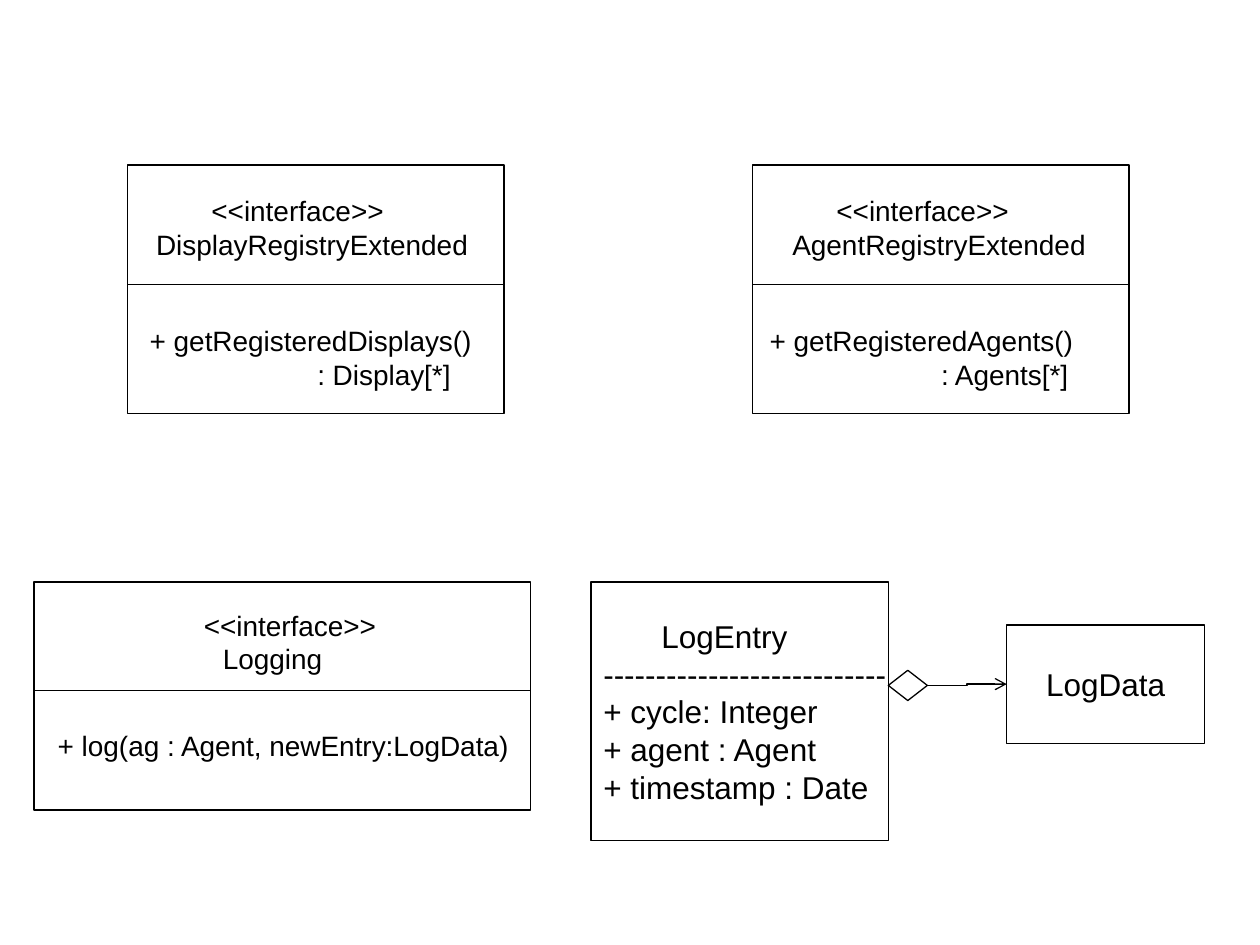
import pptx
import pptx.util
import pptx.dml.color
import pptx.enum.shapes
import pptx.enum.text
import pptx.oxml.ns
from lxml import etree

Inches, Pt = pptx.util.Inches, pptx.util.Pt
SHAPE = pptx.enum.shapes.MSO_SHAPE
CONNECTOR = pptx.enum.shapes.MSO_CONNECTOR
ANCHOR = pptx.enum.text.MSO_ANCHOR
ALIGN = pptx.enum.text.PP_ALIGN
INK, PAPER = "000000", "FFFFFF"
INSET = 0.1

# Boxes are left, top, width, height; each text line is (indent, text).
INTERFACES = [
    {"box": (1.01, 1.31, 2.99, 1.97), "divider": 2.26,
     "head": (1.49, [(0.57, "<<interface>>"), (0.13, "DisplayRegistryExtended")]),
     "body": (2.52, [(0.08, "+ getRegisteredDisplays()"), (1.41, ": Display[*]")])},
    {"box": (5.97, 1.31, 2.99, 1.97), "divider": 2.26,
     "head": (1.49, [(0.57, "<<interface>>"), (0.22, "AgentRegistryExtended")]),
     "body": (2.52, [(0.04, "+ getRegisteredAgents()"), (1.4, ": Agents[*]")])},
    {"box": (0.27, 4.62, 3.94, 1.81), "divider": 5.48,
     "head": (4.78, [(1.25, "<<interface>>"), (1.4, "Logging")]),
     "body": (5.73, [(0.09, "+ log(ag : Agent, newEntry:LogData)")])},
]
LOG_DATA = ((7.99, 4.96, 1.57, 0.94), [(0, "LogData")])
LOG_ENTRY = ((4.69, 4.62, 2.36, 2.05), [
    (0.46, "LogEntry"),
    (0, "---------------------------"),
    (0, "+ cycle: Integer"),
    (0, "+ agent : Agent"),
    (0, "+ timestamp : Date"),
])
DIAMOND = (7.05, 5.32, 0.31, 0.24)


def color(hex_string):
    return pptx.dml.color.RGBColor.from_string(hex_string)


def style_line(line):
    line.color.rgb = color(INK)
    line.width = Pt(0.75)


def add_outline(shapes, kind, box):
    sp = shapes.add_shape(kind, *map(Inches, box))
    sp.shadow.inherit = False
    sp.fill.solid()
    sp.fill.fore_color.rgb = color(PAPER)
    style_line(sp.line)
    return sp


def add_line(shapes, kind, x1, y1, x2, y2):
    cx = shapes.add_connector(kind, *map(Inches, (x1, y1, x2, y2)))
    style_line(cx.line)
    etree.SubElement(cx._element.spPr, pptx.oxml.ns.qn("a:effectLst"))
    return cx


def write(sp, lines, size, anchor=ANCHOR.TOP, align=ALIGN.LEFT):
    tf = sp.text_frame
    frame = {"word_wrap": True, "vertical_anchor": anchor,
             "margin_left": Inches(INSET), "margin_right": 0,
             "margin_top": Inches(0.05), "margin_bottom": Inches(0.05)}
    if align == ALIGN.CENTER:
        frame["margin_right"] = Inches(INSET)
    for name, value in frame.items():
        setattr(tf, name, value)
    for i, (indent, text) in enumerate(lines):
        p = tf.add_paragraph() if i else tf.paragraphs[0]
        p.alignment = align
        p._p.get_or_add_pPr().set("marL", str(Inches(indent)))
        r = p.add_run()
        r.text = text
        for name, value in {"name": "Arial", "size": Pt(size)}.items():
            setattr(r.font, name, value)
        r.font.color.rgb = color(INK)


def add_interface(s, item):
    left, _, width, _ = item["box"]
    shapes = s.shapes.add_group_shape().shapes
    add_outline(shapes, SHAPE.RECTANGLE, item["box"])
    add_line(shapes, CONNECTOR.STRAIGHT, left, item["divider"],
             left + width, item["divider"])
    for top, lines in (item["head"], item["body"]):
        height = 0.1 + 0.27 * len(lines)
        tb = shapes.add_textbox(*map(Inches, (left, top, width, height)))
        write(tb, lines, 16)


def main():
    prs = pptx.Presentation()
    prs.slide_width, prs.slide_height = Inches(10), Inches(7.5)
    s = prs.slides.add_slide(prs.slide_layouts[6])

    for item in INTERFACES:
        add_interface(s, item)

    box, lines = LOG_DATA
    log_data = add_outline(s.shapes, SHAPE.RECTANGLE, box)
    write(log_data, lines, 18, ANCHOR.MIDDLE, ALIGN.CENTER)
    box, lines = LOG_ENTRY
    write(add_outline(s.shapes, SHAPE.RECTANGLE, box), lines, 18, ANCHOR.MIDDLE)

    diamond = add_outline(s.shapes, SHAPE.DIAMOND, DIAMOND)
    link = add_line(s.shapes, CONNECTOR.ELBOW, 7.36, 5.44, 7.99, 5.43)
    link.begin_connect(diamond, 3)
    link.end_connect(log_data, 1)
    etree.SubElement(link.line._get_or_add_ln(), pptx.oxml.ns.qn("a:tailEnd"),
                     type="arrow")

    prs.save("out.pptx")


if __name__ == "__main__":
    main()
